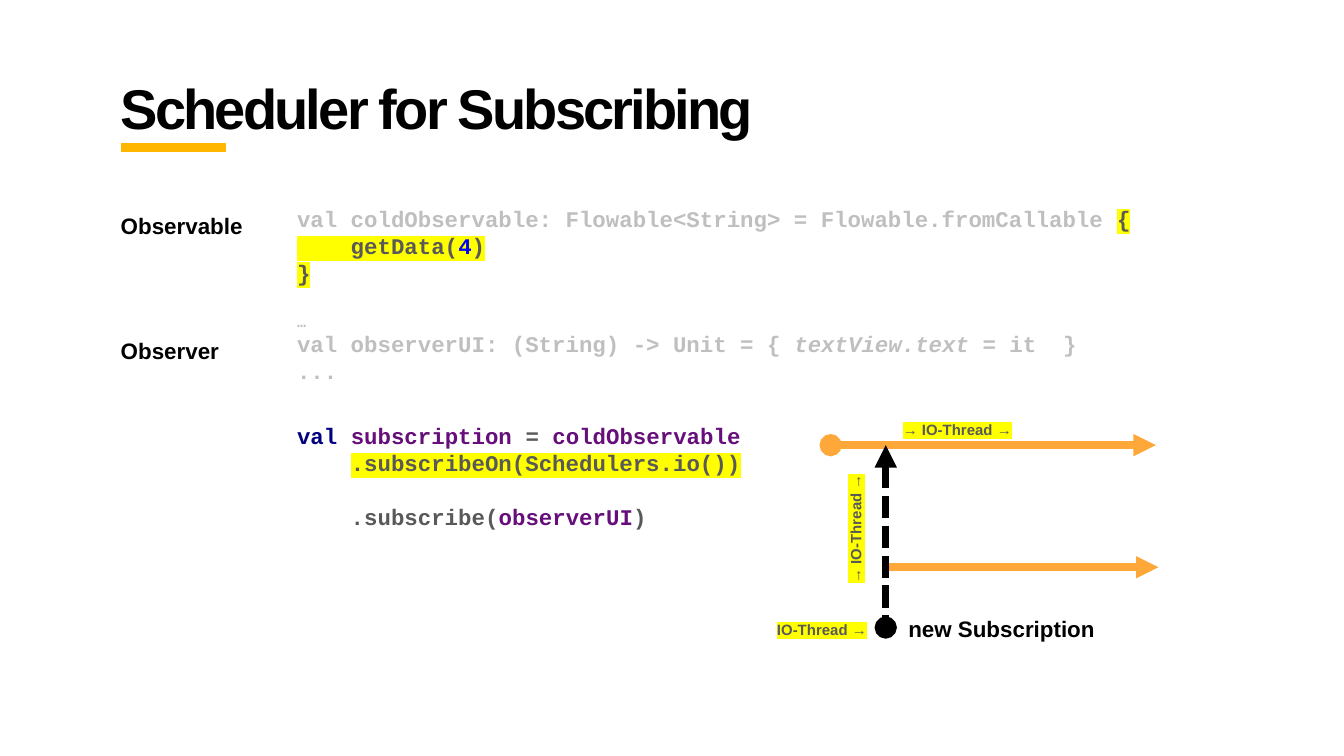
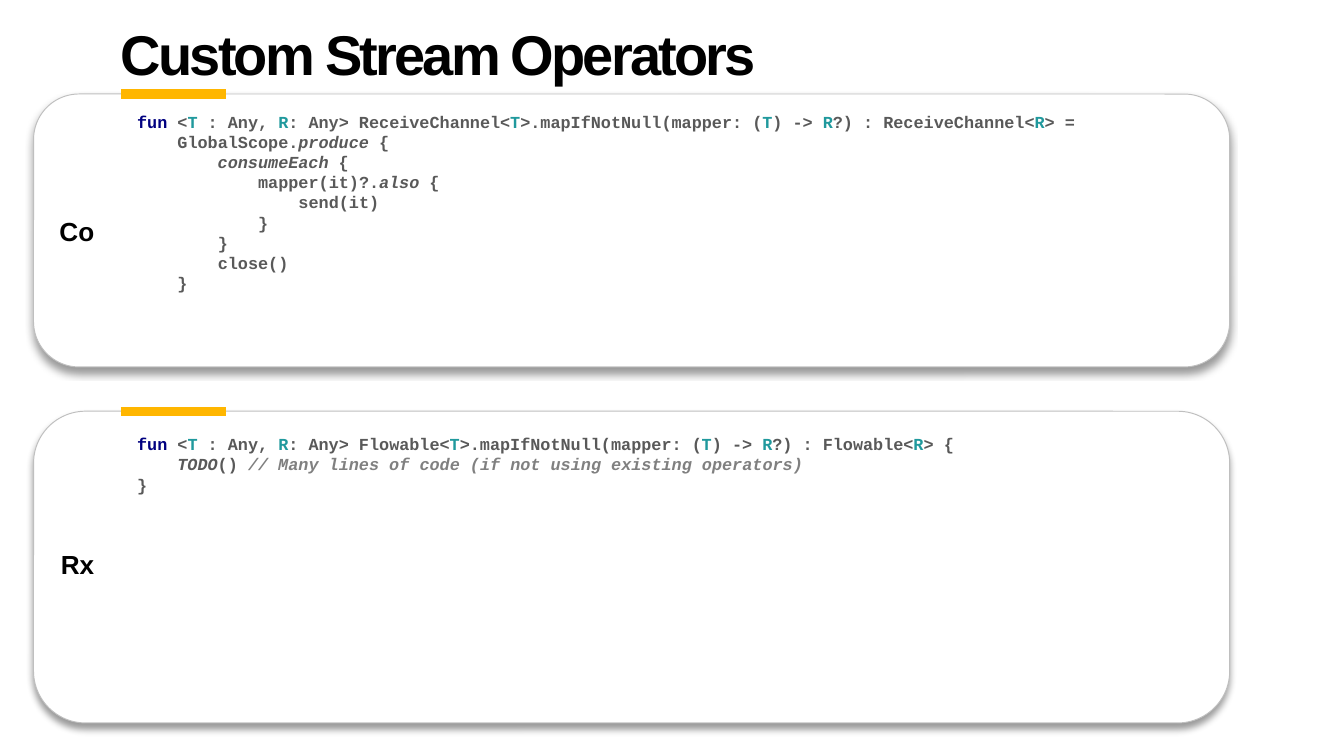
import pptx
import pptx.util
import pptx.dml.color
import pptx.enum.dml
import pptx.enum.shapes
import pptx.enum.text
import pptx.oxml
from pptx.oxml.ns import nsdecls, qn

Pt = pptx.util.Pt
colour = pptx.dml.color.RGBColor.from_string
Align = pptx.enum.text.PP_ALIGN

BLACK, WHITE, AMBER, ORANGE = "000000", "FFFFFF", "FFB600", "FEA83A"
GRAY, FADED, COMMENT = "595959", "BFBFBF", "808080"
KEYWORD, NAME, NUMBER, TYPE = "000080", "660E7A", "0000FF", "20999D"
MARKER = "FFFF00"
SANS, MONO = "Arial", "Courier New"
LINE_RATIO = 1.2
CODE_INSETS = (15.84, 7.2)
TITLE_INSETS = (7.2, 10.4)


def add_text(page, at, lines, size, color=BLACK, font=SANS, insets=None,
             align=Align.LEFT, wrap=True, spacing=0, vertical=None):
    box = page.shapes.add_textbox(*map(Pt, at))
    frame = box.text_frame
    frame.word_wrap = wrap
    if insets:
        frame.margin_left = frame.margin_right = Pt(insets[0])
        frame.margin_top = Pt(insets[1])
    else:
        frame.auto_size = pptx.enum.text.MSO_AUTO_SIZE.SHAPE_TO_FIT_TEXT
    if vertical:
        frame._txBody.bodyPr.set("vert", vertical)
    for index, (gap, line_size, spans) in enumerate(lines):
        para = frame.paragraphs[0] if index == 0 else frame.add_paragraph()
        para.alignment = align
        para.space_before = Pt(gap)
        if font == MONO:
            para.line_spacing = Pt((line_size or size) * LINE_RATIO)
        para.font.name = font
        para.font.size = Pt(line_size or size)
        para.font.bold = True
        para.font.color.rgb = colour(color)
        for text, span_color, style in spans:
            span = para.add_run()
            span.text = text
            properties = span._r.get_or_add_rPr()
            if span_color:
                span.font.color.rgb = colour(span_color)
            if "i" in style:
                span.font.italic = True
            if "h" in style:
                properties.append(pptx.oxml.parse_xml(
                    f'<a:highlight {nsdecls("a")}><a:srgbClr val="{MARKER}"/></a:highlight>'))
            if spacing:
                properties.set("spc", str(spacing))


def add_line(page, start, end, color, width, head=None, tail=None, dash=None):
    line = page.shapes.add_connector(
        pptx.enum.shapes.MSO_CONNECTOR.STRAIGHT, *map(Pt, start + end))
    line.line.color.rgb = colour(color)
    line.line.width = Pt(width)
    if dash:
        line.line.dash_style = dash
    outline = line.line._get_or_add_ln()
    for tag, kind in (("a:headEnd", head), ("a:tailEnd", tail)):
        if kind:
            outline.append(outline.makeelement(qn(tag), {"type": kind}))
    properties = line._element.spPr
    properties.append(properties.makeelement(qn("a:effectLst"), {}))


deck = pptx.Presentation()
deck.slide_width, deck.slide_height = Pt(720), Pt(405)
blank = deck.slide_layouts[6]

page = deck.slides.add_slide(blank)
add_text(page, (57.6, 28.8, 601.2, 45.4), [(0, None, [("Scheduler for Subscribing", None, "")])],
         30, insets=TITLE_INSETS, spacing=-150)
add_line(page, (64.8, 79.2), (121, 79.2), AMBER, 5)

for label, at in (("Observable", (57.6, 110.2, 85.7, 21.6)),
                  ("Observer", (57.6, 177.1, 85.7, 21.6)),
                  ("new Subscription", (479.5, 326.2, 119.5, 21.6))):
    add_text(page, at, [(0, None, [(label, None, "")])], 12)

subscribing_code = [
    (0, None, [("val coldObservable: Flowable<String> = Flowable.fromCallable ", FADED, ""),
               ("{", GRAY, "h")]),
    (0, None, [("    getData(", GRAY, "h"), ("4", NUMBER, "h"), (")", GRAY, "h")]),
    (0, None, [("}", GRAY, "h")]),
    (14.4, 8, [("…", FADED, "")]),
    (0, None, [("val observerUI: (String) -> Unit = { ", FADED, ""),
               ("textView.text", FADED, "i"), (" = it  }", FADED, "")]),
    (0, None, [("...", FADED, "")]),
    (20.4, None, [("val ", KEYWORD, ""), ("subscription ", NAME, ""), ("= ", GRAY, ""),
                  ("coldObservable", NAME, "")]),
    (0, None, [("    ", GRAY, ""), (".subscribeOn(Schedulers.io())", GRAY, "h")]),
    (14.4, None, [("    .subscribe(", GRAY, ""), ("observerUI", NAME, ""), (")", GRAY, "")]),
]
add_text(page, (143.3, 100.8, 515.5, 258.5), subscribing_code, 12, GRAY, MONO,
         (CODE_INSETS[0], 9))

add_line(page, (445, 238.5), (619.2, 238.5), ORANGE, 4, "oval", "triangle")
add_line(page, (474.5, 303.9), (620.6, 303.9), ORANGE, 4, None, "triangle")
add_line(page, (474.5, 238.5), (474.5, 336.2), BLACK, 4, "triangle", "oval",
         pptx.enum.dml.MSO_LINE.SQUARE_DOT)

for label, at, align, vertical in (
        ("IO-Thread →", (406.8, 329, 64.8, 17.3), Align.RIGHT, None),
        ("→ IO-Thread →", (450, 252, 24.5, 67.7), Align.LEFT, "vert270"),
        ("→ IO-Thread →", (476.6, 221.8, 74.9, 17.3), Align.LEFT, None)):
    add_text(page, at, [(0, None, [(label, None, "h")])], 8, GRAY,
             align=align, wrap=False, vertical=vertical)

page = deck.slides.add_slide(blank)
for label, top, height, label_top in (("Co", 50.4, 146.2, 111.6), ("Rx", 220.3, 167, 290.2)):
    card = page.shapes.add_shape(pptx.enum.shapes.MSO_SHAPE.ROUNDED_RECTANGLE,
                                 Pt(18), Pt(top), Pt(640.8), Pt(height))
    card.fill.solid()
    card.fill.fore_color.rgb = colour(WHITE)
    card.line.color.rgb = colour(FADED)
    card.line.width = Pt(0.5)
    card._element.spPr.append(pptx.oxml.parse_xml(
        f'<a:effectLst {nsdecls("a")}>'
        f'<a:outerShdw blurRad="{Pt(4)}" dist="{Pt(3)}" dir="5400000" algn="t" rotWithShape="0">'
        f'<a:srgbClr val="{BLACK}"><a:alpha val="40000"/></a:srgbClr>'
        '</a:outerShdw></a:effectLst>'))
    add_text(page, (18, label_top, 39.6, 24.5), [(0, None, [(label, None, "")])], 14,
             align=Align.RIGHT)
    add_line(page, (64.8, top), (121, top), AMBER, 5)

channel_body = [
    [("    GlobalScope.", None, ""), ("produce ", None, "i"), ("{", None, "")],
    [("        ", None, ""), ("consumeEach ", None, "i"), ("{", None, "")],
    [("            mapper(it)?.", None, ""), ("also ", None, "i"), ("{", None, "")],
    [("                send(it)", None, "")],
    [("            }", None, "")],
    [("        }", None, "")],
    [("        close()", None, "")],
    [("    }", None, "")],
]
flowable_body = [
    [("    ", None, ""), ("TODO", None, "i"), ("() ", None, ""),
     ("// Many lines of code (if not using existing operators)", COMMENT, "i")],
    [("}", None, "")],
]
operator_code = []
for stream, ending, gap, body in (("ReceiveChannel", "> =", 0, channel_body),
                                  ("Flowable", "> {", 75.6, flowable_body)):
    signature = [
        ("fun ", KEYWORD, ""), ("<", None, ""), ("T ", TYPE, ""), (": Any, ", None, ""),
        ("R", TYPE, ""), (f": Any> {stream}<", None, ""), ("T", TYPE, ""),
        (">.mapIfNotNull(mapper: (", None, ""), ("T", TYPE, ""), (") -> ", None, ""),
        ("R", TYPE, ""), (f"?) : {stream}<", None, ""), ("R", TYPE, ""), (ending, None, ""),
    ]
    operator_code.append((gap, None, signature))
    operator_code.extend((0, None, spans) for spans in body)
add_text(page, (57.6, 28.8, 601.2, 330.5), operator_code, 9, GRAY, MONO, (CODE_INSETS[0], 30.9))

add_text(page, (57.6, 0, 601.2, 45.4), [(0, None, [("Custom Stream Operators", None, "")])],
         30, insets=TITLE_INSETS, spacing=-150)

deck.save("out.pptx")
